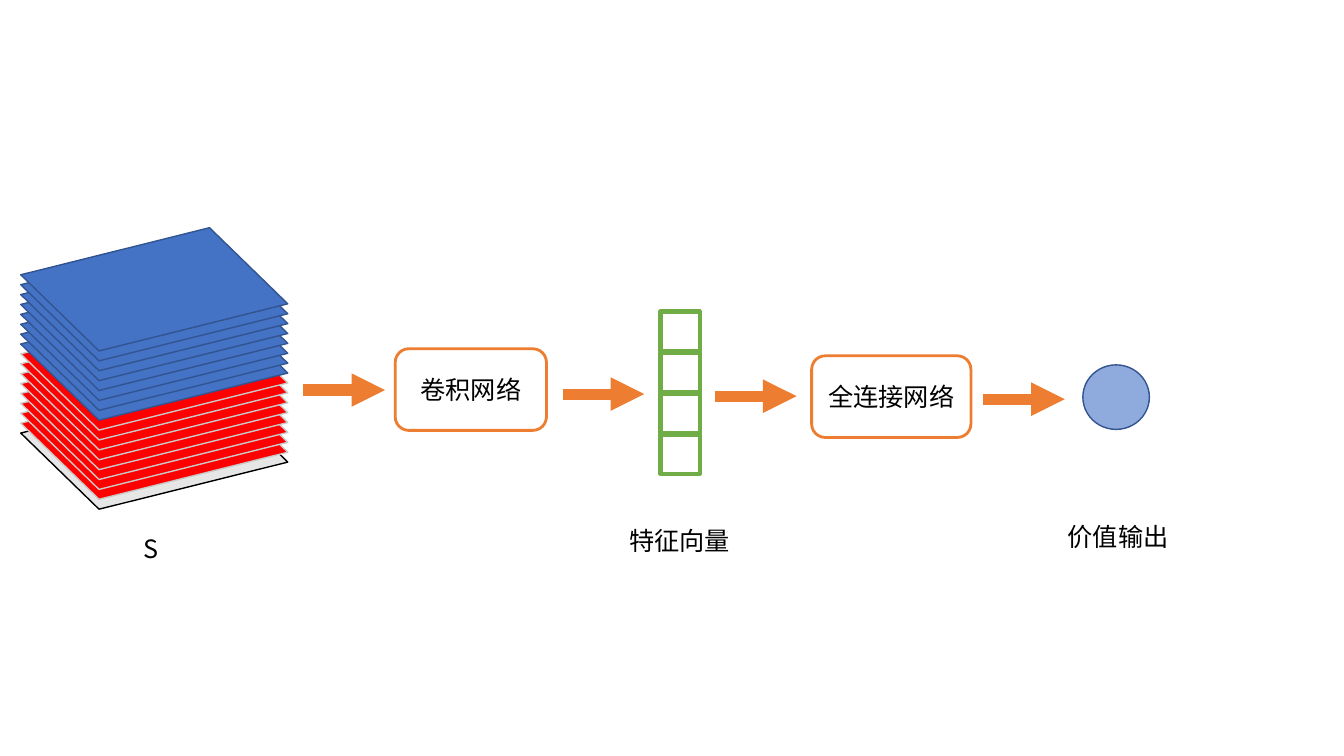
from lxml.etree import SubElement
from pptx import Presentation
from pptx.dml.color import RGBColor
from pptx.enum.shapes import MSO_CONNECTOR as Connector, MSO_SHAPE as Shape
from pptx.enum.text import MSO_ANCHOR as Anchor, PP_ALIGN as Align
from pptx.oxml.ns import qn
from pptx.util import Inches, Pt

COLORS = {
    "white": "FFFFFF", "black": "000000", "orange": "ED7D31", "green": "70AD47",
    "gray": "E7E6E6", "silver": "C9C9C9", "red": "FF0000",
    "blue": "4472C4", "navy": "325491", "sky": "8FAADC",
}
COLUMNS, ROWS = 13.33, 7.5


def color(name):
    """Return the named colour."""
    return RGBColor.from_string(COLORS[name])


def apply(target, formats):
    """Set each format value as an attribute of the target."""
    for name, value in formats.items():
        setattr(target, name, value)


class Diagram:
    """Style and current page of the network diagram."""

    font = "Noto Sans CJK SC"
    size = Pt(18)

    def __init__(self, deck):
        """Set the page size and add a blank page."""
        apply(deck, {"slide_width": Inches(COLUMNS), "slide_height": Inches(ROWS)})
        self.column = deck.slide_width / COLUMNS
        self.row = deck.slide_height / ROWS
        self.page = deck.slides.add_slide(deck.slide_layouts[6])

    def place(self, left, top, width, height):
        """Turn grid columns and rows into lengths."""
        return (round(left * self.column), round(top * self.row),
                round(width * self.column), round(height * self.row))

    def text(self, box, words, align, anchor, wrap):
        """Put one line of text in a box."""
        frame = box.text_frame
        apply(frame, {"word_wrap": wrap, "vertical_anchor": anchor})
        para = frame.paragraphs[0]
        para.alignment = align
        span = para.add_run()
        span.text = words
        apply(span.font, {"size": self.size, "name": self.font})
        span.font.color.rgb = color("black")
        SubElement(span.font._element, qn("a:ea"), typeface=self.font)

    def shape(self, kind, area, fill, line, weight=1, angle=0, slant=None):
        """Add a filled and outlined shape."""
        box = self.page.shapes.add_shape(kind, *self.place(*area))
        box.shadow.inherit = False
        box.fill.solid()
        box.fill.fore_color.rgb = color(fill)
        box.line.color.rgb = color(line)
        box.line.width = Pt(weight)
        box.rotation = angle
        if slant is not None:
            box.adjustments[0] = slant
        return box

    def network(self, area, words):
        """Add a rounded box that names a network."""
        box = self.shape(Shape.ROUNDED_RECTANGLE, area, "white", "orange", 2)
        apply(box.text_frame, {"margin_left": 0, "margin_right": 0})
        self.text(box, words, Align.CENTER, Anchor.MIDDLE, True)

    def label(self, area, words):
        """Add a caption."""
        box = self.page.shapes.add_textbox(*self.place(*area))
        self.text(box, words, Align.LEFT, Anchor.TOP, False)

    def arrow(self, left, top, length=0.81):
        """Add a thick arrow that points right."""
        x, y, width, _ = self.place(left, top, length, 0)
        arrow = self.page.shapes.add_connector(Connector.STRAIGHT, x, y, x + width, y)
        arrow.line.color.rgb = color("orange")
        arrow.line.width = Pt(8)
        outline = arrow._element.spPr.find(qn("a:ln"))
        SubElement(outline, qn("a:tailEnd"), type="triangle")
        SubElement(arrow._element.spPr, qn("a:effectLst"))

    def stack(self, left, bottom, step, sheets):
        """Stack slanted sheets upwards from the bottom one."""
        for level, (fill, line) in enumerate(sheets):
            area = (left, bottom - level * step, 2.1, 1.64)
            self.shape(Shape.PARALLELOGRAM, area, fill, line, angle=224.2, slant=0.62)

    def vector(self, left, top, side, step, count):
        """Add a column of square cells."""
        for cell in range(count):
            area = (left, top + cell * step, side, side)
            self.shape(Shape.RECTANGLE, area, "white", "green", 3)


deck = Presentation()
diagram = Diagram(deck)

for left, top in ((3.01, 3.87), (5.58, 3.91), (7.09, 3.93), (9.75, 3.96)):
    diagram.arrow(left, top)

diagram.network((3.92, 3.46, 1.5, 0.81), "卷积网络")
diagram.network((8.05, 3.53, 1.58, 0.81), "全连接网络")

sheets = [("gray", "black")] + [("red", "silver")] * 8 + [("blue", "navy")] * 8
diagram.stack(0.48, 3.62, 1.57 / 16, sheets)
diagram.vector(6.55, 3.09, 0.39, 1.22 / 3, 4)
diagram.shape(Shape.OVAL, (10.74, 3.62, 0.66, 0.64), "sky", "navy")

diagram.label((1.32, 5.24, 0.42, 0.4), "S")
diagram.label((6.14, 5.16, 1.22, 0.4), "特征向量")
diagram.label((10.49, 5.12, 1.22, 0.4), "价值输出")

deck.save("out.pptx")
